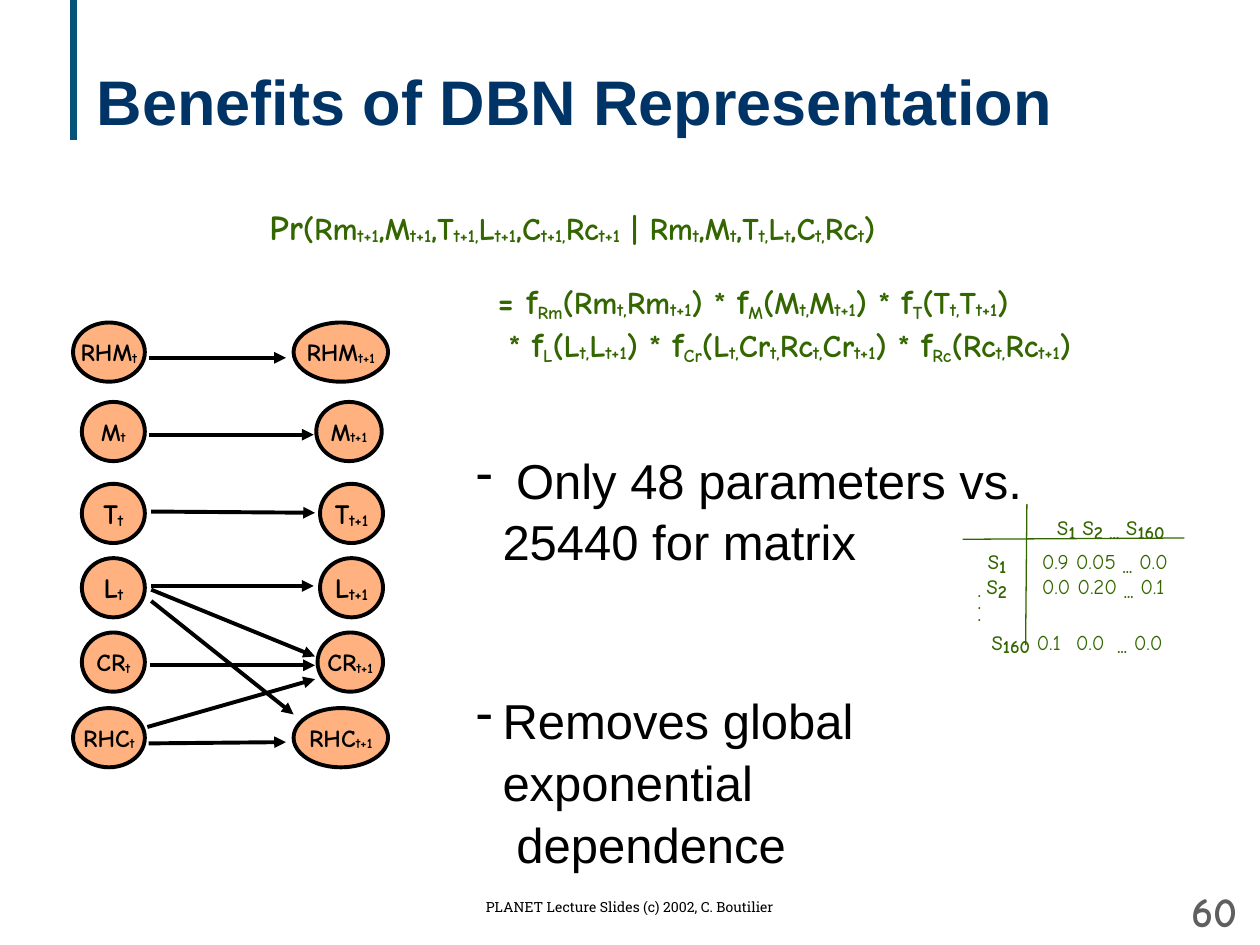
from lxml import etree
from pptx import Presentation
from pptx.dml.color import RGBColor
from pptx.enum import shapes, text
from pptx.oxml import ns
from pptx.util import Inches, Pt


class Theme:
    navy, teal, green = "003366", "07547A", "336600"
    black, gray, orange = "000000", "5F5F5F", "FF6600"
    hand = "Comic Neue"
    # code: font, size, bold, colour, baseline shift in percent
    runs = {
        "T": ("Arial", 36, True, navy, 0),
        "B": ("Arial", 28, False, black, 0),
        "F": ("Roboto Slab", 8, False, black, 0),
        "P": (hand, 24, True, gray, 0),
        "b": (hand, 20, True, green, 0),    # formula, large
        "n": (hand, 18, True, green, 0),    # formula, normal
        "t": (hand, 18, True, green, -6),   # time index
        "f": (hand, 18, True, green, -14),  # factor index
        "s": (hand, 16, False, green, 0),   # matrix state
        "i": (hand, 18, True, green, -12),  # matrix index
        "v": (hand, 12, False, green, 0),   # matrix value
        "d": (hand, 14, False, green, 0),   # matrix dots
        "L": (hand, 16, True, black, 0),    # node, large
        "l": (hand, 16, True, black, -6),
        "M": (hand, 14, True, black, 0),    # node, small
        "m": (hand, 14, True, black, -6),
    }


def write(shape, lines, anchor="TOP", align="LEFT", wrap=True, **fmt):
    """Fill a shape; each line is made of '['-separated runs led by a code."""
    frame = shape.text_frame
    frame.word_wrap = wrap
    frame.vertical_anchor = getattr(text.MSO_ANCHOR, anchor)
    for num, line in enumerate(lines):
        par = frame.add_paragraph() if num else frame.paragraphs[0]
        par.alignment = getattr(text.PP_ALIGN, align)
        for key, val in fmt.items():
            setattr(par, key, val)
        for part in line.split("["):
            face, size, bold, color, base = Theme.runs[part[0]]
            run = par.add_run()
            run.text = part[1:]
            look = {"name": face, "size": Pt(size), "bold": bold}
            for key, val in look.items():
                setattr(run.font, key, val)
            run.font.color.rgb = RGBColor.from_string(color)
            if base:
                run._r.get_or_add_rPr().set("baseline", str(base * 1000))
    return frame.paragraphs


def draw(ends, color, width, arrow=False):
    """Draw a straight line, with an arrowhead at its end if asked."""
    line = art.add_connector(shapes.MSO_CONNECTOR.STRAIGHT, *map(Inches, ends))
    line.line.color.rgb = RGBColor.from_string(color)
    line.line.width = Pt(width)
    if arrow:
        etree.SubElement(line.line._get_or_add_ln(), ns.qn("a:tailEnd"), type="triangle")
    etree.SubElement(line._element.spPr, ns.qn("a:effectLst"))


deck = Presentation()
deck.slide_width, deck.slide_height = Inches(10), Inches(7.5)
art = deck.slides.add_slide(deck.slide_layouts[6]).shapes

# Title with its bar
draw((0.58, 0, 0.58, 1.11), Theme.teal, 4)
head = art.add_textbox(*map(Inches, (0.67, 0.17, 8.92, 1.25)))
write(head, ["TBenefits of DBN Representation"], anchor="MIDDLE")

# Transition formula
prob = art.add_textbox(*map(Inches, (2.04, 1.58, 5.2, 0.44)))
write(prob, ["bPr[n(Rm[tt+1[n,M[tt+1[n,T[tt+1,[nL[tt+1[n,C[tt+1,[nRc[tt+1"
             "[n | Rm[tt[n,M[tt[n,T[tt,[nL[tt[n,C[tt,[nRc[tt[n)"])
prod = art.add_textbox(*map(Inches, (3.85, 2.17, 4.95, 0.79)))
write(prod, [
    "b= f[fRm[n(Rm[tt,[nRm[tt+1[n) * [bf[fM[n(M[tt,[nM[tt+1[n) * "
    "[bf[fT[n(T[tt,[nT[tt+1[n)",
    "n * [bf[fL[n(L[tt,[nL[tt+1[n) * [bf[fCr[n(L[tt,[nCr[tt,[nRc[tt,[nCr[tt+1[n) * "
    "[bf[fRc[n(Rc[tt,[nRc[tt+1[n)",
])

# Benefits list
body = art.add_textbox(*map(Inches, (3.68, 3.5, 5.21, 2.9)))
pars = write(body, ["B Only 48 parameters vs.", "B25440 for matrix",
                    "BRemoves global exponential", "Bdependence"], line_spacing=1.05)
for par, left, dash in zip(pars, (0.21, 0.21, 0.21, 0.32), (True, False, True, False)):
    prop = par._p.get_or_add_pPr()
    prop.set("marL", str(Inches(left)))
    prop.set("indent", str(Inches(-left if dash else 0)))
    if dash:
        etree.SubElement(prop, ns.qn("a:buChar"), char="-")
pars[2].space_before = Pt(67)

# Transition matrix: place, width, text, tab stops
rows = [
    (8.29, 3.95, 1.25, "ss[i1 [ss[i2 ... [ss[i160", ()),
    (7.74, 4.22, 1.8, "ss[i1[v\t0.9 0.05[i ... [v0.0", (0.43,)),
    (7.73, 4.42, 1.8, "ss[i2[v\t0.0 0.20[i ... [v0.1", (0.44,)),
    (7.77, 4.86, 1.8, "ss[i160 [v0.1\t0.0\t[i... [v0.0", (0.67, 1.0)),
]
for left, top, width, line, stops in rows:
    cell = art.add_textbox(*map(Inches, (left, top, width, 0.41)))
    par = write(cell, [line])[0]
    tabs = etree.SubElement(par._p.get_or_add_pPr(), ns.qn("a:tabLst"))
    for stop in stops:
        etree.SubElement(tabs, ns.qn("a:tab"), pos=str(Inches(stop)), algn="l")
dots = art.add_textbox(*map(Inches, (7.66, 4.62, 0.25, 0.38)))
write(dots, ["d."] * 3, line_spacing=0.4)
draw((7.64, 4.28, 9.4, 4.27), Theme.green, 0.75)
draw((8.15, 4, 8.14, 5.12), Theme.green, 0.75)

# Network nodes: name, size code, top, then left and width now and next
nodes = [
    ("RHM", "M", 2.56, (0.58, 0.57), (2.33, 0.75)),
    ("M", "M", 3.19, (0.65, 0.5), (2.51, 0.52)),
    ("T", "L", 3.84, (0.65, 0.5), (2.54, 0.5)),
    ("L", "L", 4.43, (0.65, 0.5), (2.54, 0.5)),
    ("CR", "M", 5.02, (0.65, 0.5), (2.52, 0.52)),
    ("RHC", "M", 5.62, (0.58, 0.57), (2.33, 0.75)),
]
for name, code, top, now, then in nodes:
    for (left, width), time in ((now, "t"), (then, "t+1")):
        node = art.add_shape(shapes.MSO_SHAPE.OVAL,
                             *map(Inches, (left, top, width, 0.47)))
        node.shadow.inherit = False
        node.fill.solid()
        node.fill.fore_color.rgb = RGBColor.from_string(Theme.orange)
        tint = node._element.spPr.find(".//" + ns.qn("a:srgbClr"))
        etree.SubElement(tint, ns.qn("a:alpha"), val="50000")
        node.line.color.rgb = RGBColor.from_string(Theme.black)
        node.line.width = Pt(2.25)
        write(node, [f"{code}{name}[{code.lower()}{time}"],
              anchor="MIDDLE", align="CENTER", wrap=False)

# Network arrows
arrows = [
    (1.18, 2.84, 2.27, 2.84), (1.18, 3.45, 2.49, 3.45), (1.2, 4.06, 2.5, 4.07),
    (1.2, 4.65, 2.49, 4.65), (1.2, 4.68, 2.5, 5.21), (1.2, 4.77, 2.33, 5.67),
    (1.19, 5.28, 2.5, 5.28), (1.17, 5.77, 2.5, 5.39), (1.18, 5.9, 2.27, 5.89),
]
for ends in arrows:
    draw(ends, Theme.black, 2.25, arrow=True)

# Footer and page number
foot = art.add_textbox(*map(Inches, (2.75, 7.08, 4.5, 0.25)))
write(foot, ["FPLANET Lecture Slides (c) 2002, C. Boutilier"], align="CENTER")
page = art.add_textbox(*map(Inches, (9.2, 7.03, 0.72, 0.4)))
write(page, ["P60"], anchor="MIDDLE", align="RIGHT")

deck.save("out.pptx")
